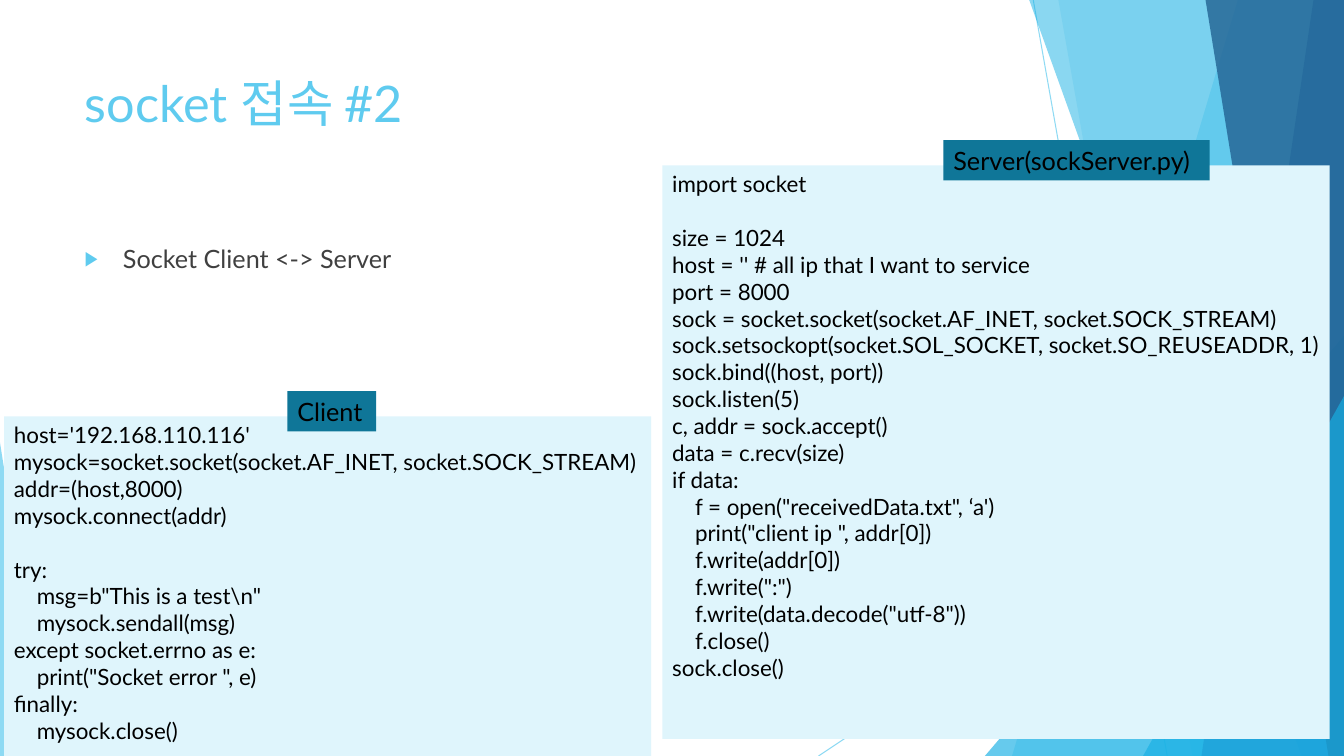
from lxml import etree
from pptx import Presentation
from pptx.dml.color import RGBColor
from pptx.enum.shapes import MSO_CONNECTOR as LINK, MSO_SHAPE as KIND
from pptx.enum.text import MSO_ANCHOR as ANCHOR, MSO_AUTO_SIZE as FIT, PP_ALIGN as ALIGN
from pptx.oxml import parse_xml
from pptx.oxml.ns import nsdecls, qn
from pptx.util import Inches, Pt

deck = Presentation()
W = deck.slide_width = Inches(13.333)
H = deck.slide_height = Inches(7.5)
slide = deck.slides.add_slide(deck.slide_layouts[1])
shapes = slide.shapes

SKY, AQUA, PALE, TEAL = "5FCBEF", "17B0E4", "DFF5FC", "0F7698"


def paint(color, code, alpha=100):
    """Set a colour from a hex string, with opacity in percent."""
    color.rgb = RGBColor.from_string(code)
    if alpha < 100:
        tone = color._xFill.find(qn("a:srgbClr"))
        etree.SubElement(tone, qn("a:alpha")).set("val", str(alpha * 1000))


def area(*parts):
    """Turn percent shares of the slide into x, y, x, y lengths."""
    return [round(part * side / 100) for part, side in zip(parts, (W, H, W, H))]


# Thin crossing lines
for ends in [(76.88, 0, 86.85, 100), (100, 53.73, 60.9, 100)]:
    ray = shapes.add_connector(LINK.STRAIGHT, *area(*ends))
    ray.line.width = Pt(0.75)
    paint(ray.line.color, SKY, 70)
    etree.SubElement(ray._element.spPr, qn("a:effectLst"))

# Facets: bands (top x, bottom x) reach the right edge, wedges are triangles
facets = [
    ((92.1, 75.3), None, SKY, 36),
    ((78.75, 88.73), None, SKY, 20),
    ((73.28, 44.4, 26.72, 55.6), 1, AQUA, 66),
    ((76.58, 96.83), None, AQUA, 50),
    ((97.73, 89.4), None, "2E83C3", 70),
    ((89.7, 98.85), None, "226292", 80),
    ((85.05, 52.4, 14.95, 47.6), 1, AQUA, 66),
    ((0, 58.53, 3.68, 41.47), 0, SKY, 70),
]
for spot, peak, code, alpha in facets:
    if peak is None:
        top, base = spot
        pen = shapes.build_freeform(*area(top, 0))
        pen.add_line_segments([area(100, 0), area(100, 100), area(base, 100)], close=True)
        facet = pen.convert_to_shape()
    else:
        facet = shapes.add_shape(KIND.ISOSCELES_TRIANGLE, *area(*spot))
        facet.adjustments[0] = peak
    facet.shadow.inherit = False
    facet.line.fill.background()
    facet.fill.solid()
    paint(facet.fill.fore_color, code, alpha)

# Code shown on the slide
server = """import socket

size = 1024
host = '' # all ip that I want to service
port = 8000
sock = socket.socket(socket.AF_INET, socket.SOCK_STREAM)
sock.setsockopt(socket.SOL_SOCKET, socket.SO_REUSEADDR, 1)
sock.bind((host, port))
sock.listen(5)
c, addr = sock.accept()
data = c.recv(size)
if data:
    f = open("receivedData.txt", ‘a')
    print("client ip ", addr[0])
    f.write(addr[0])
    f.write(":")
    f.write(data.decode("utf-8"))
    f.close()
sock.close()"""

client = r"""host='192.168.110.116'
mysock=socket.socket(socket.AF_INET, socket.SOCK_STREAM)
addr=(host,8000)
mysock.connect(addr)

try:
    msg=b"This is a test\n"
    mysock.sendall(msg)
except socket.errno as e:
    print("Socket error ", e)
finally:
    mysock.close()"""

# Title, list, code panels and their labels
title, body = shapes.title, slide.placeholders[1]
blocks = [
    (title, (5.55, 8.93, 70.5, 19.2), None, "socket 접속 #2", 36, SKY),
    (body, (5.55, 31.47, 70.5, 56.53), None, "Socket Client <-> Server", 18, "404040"),
    (None, (49.28, 21.87, 49.65, 75.87), PALE, server, 16, "000000"),
    (None, (0.3, 55.07, 48.15, 44.93), PALE, client, 16, "000000"),
    (None, (70.2, 18.53, 19.8, 5.33), TEAL, "Server(sockServer.py)", 18, "000000"),
    (None, (21.38, 51.73, 6.6, 5.33), TEAL, "Client", 18, "000000"),
]
for box, spot, back, text, size, ink in blocks:
    if box is None:
        box = shapes.add_shape(KIND.RECTANGLE, *area(*spot))
        box.shadow.inherit = False
        box.line.fill.background()
        box.fill.solid()
        paint(box.fill.fore_color, back)
    else:
        box.left, box.top, box.width, box.height = area(*spot)
    frame = box.text_frame
    frame.word_wrap = True
    frame.auto_size = FIT.NONE
    frame.vertical_anchor = ANCHOR.TOP
    frame.margin_right = 0
    gap = 0
    for row, line in enumerate(text.split("\n")):
        if not line:
            gap = size * 1.2  # an empty code line becomes space before the next
            continue
        para = frame.add_paragraph() if row else frame.paragraphs[0]
        para.alignment = ALIGN.LEFT
        para.space_before = Pt(gap)
        gap = 0
        run = para.add_run()
        run.text = line
        run.font.name = "Lato"
        run.font.size = Pt(size)
        paint(run.font.color, ink)

# Arrow bullet of the list
props = body.text_frame.paragraphs[0]._p.get_or_add_pPr()
props.set("marL", str(Inches(0.38)))
props.set("indent", str(-Inches(0.38)))
for mark in [
    f'<a:buClr {nsdecls("a")}><a:srgbClr val="{SKY}"/></a:buClr>',
    f'<a:buSzPct {nsdecls("a")} val="80000"/>',
    f'<a:buChar {nsdecls("a")} char="▶"/>',
]:
    props.append(parse_xml(mark))

deck.save("out.pptx")
